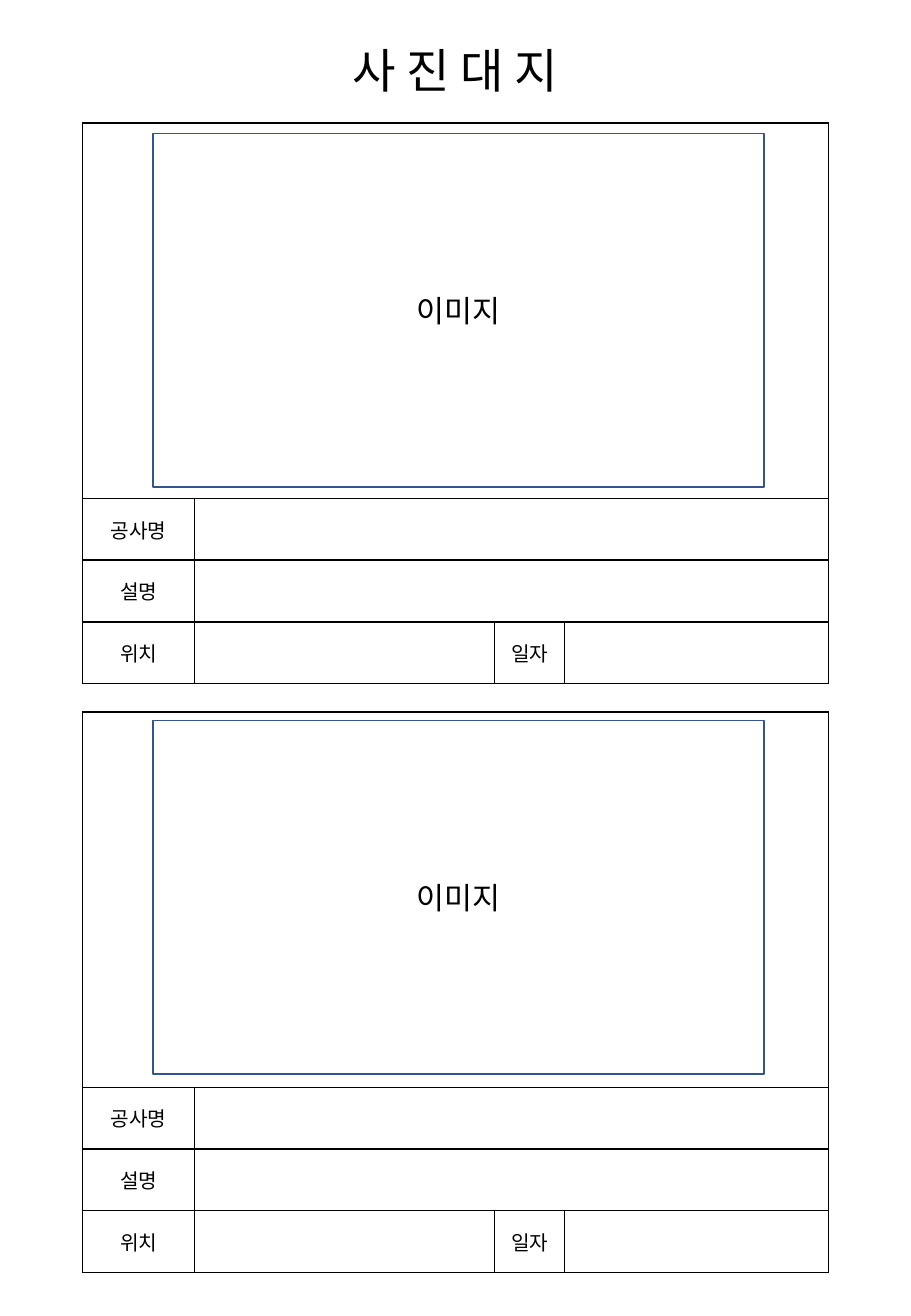
from lxml import etree
from pptx import Presentation
from pptx.dml.color import RGBColor
from pptx.enum.shapes import MSO_SHAPE
from pptx.enum.text import MSO_ANCHOR, MSO_AUTO_SIZE, PP_ALIGN
from pptx.oxml.ns import qn
from pptx.util import Cm, Pt

TITLE = "사 진 대 지"
IMAGE_LABEL = "이미지"
ROWS = [
    ["", None, None, None],
    ["공사명", "", None, None],
    ["설명", "", None, None],
    ["위치", "", "일자", ""],
]  # None continues the cell on its left

# Lengths in centimetres
SLIDE_SIZE = (19.05, 27.51)
TITLE_BOX = (4.98, 0.74, 9.09, 1.45)
TABLE_LEFT = 1.73
COLUMN_WIDTHS = [2.34, 6.27, 1.47, 5.51]
ROW_HEIGHTS = [7.85, 1.29, 1.29, 1.29]
IMAGE_LEFT, IMAGE_WIDTH, IMAGE_HEIGHT = 3.2, 12.78, 7.39
RECORDS = [  # table top, image frame top
    (2.57, 2.79),
    (14.88, 15.06),
]

FONT = "Calibri"
BLACK = RGBColor(0x00, 0x00, 0x00)
BLUE = RGBColor(0x32, 0x54, 0x91)
RECTANGLE = MSO_SHAPE.RECTANGLE
MIDDLE = MSO_ANCHOR.MIDDLE
CENTER = PP_ALIGN.CENTER
FIT_SHAPE = MSO_AUTO_SIZE.SHAPE_TO_FIT_TEXT


def write(text_frame, text, size):
    text_frame.text = text
    paragraph = text_frame.paragraphs[0]
    paragraph.alignment = CENTER
    for run in paragraph.runs:
        run.font.name = FONT
        run.font.size = Pt(size)
        run.font.color.rgb = BLACK


def add_borders(cell):
    properties = cell._tc.get_or_add_tcPr()
    for side in ("a:lnL", "a:lnR", "a:lnT", "a:lnB"):
        line = etree.SubElement(properties, qn(side), w=str(Pt(1)))
        fill = etree.SubElement(line, qn("a:solidFill"))
        etree.SubElement(fill, qn("a:srgbClr"), val=str(BLACK))


def add_record_table(slide, top):
    table = slide.shapes.add_table(
        len(ROWS), len(COLUMN_WIDTHS), Cm(TABLE_LEFT), Cm(top),
        Cm(sum(COLUMN_WIDTHS)), Cm(sum(ROW_HEIGHTS))).table
    table.first_row = table.horz_banding = False
    for column, width in zip(table.columns, COLUMN_WIDTHS):
        column.width = Cm(width)
    for row, height in zip(table.rows, ROW_HEIGHTS):
        row.height = Cm(height)
    for row_index, texts in enumerate(ROWS):
        for column_index, text in enumerate(texts):
            cell = table.cell(row_index, column_index)
            add_borders(cell)
            cell.fill.background()
            cell.vertical_anchor = MIDDLE
            if text:
                write(cell.text_frame, text, 12)
        if None in texts:
            start = texts.index(None) - 1
            table.cell(row_index, start).merge(
                table.cell(row_index, len(texts) - 1))


def add_image_frame(slide, top):
    frame = slide.shapes.add_shape(
        RECTANGLE, Cm(IMAGE_LEFT), Cm(top), Cm(IMAGE_WIDTH), Cm(IMAGE_HEIGHT))
    frame.shadow.inherit = False
    frame.fill.background()
    frame.line.color.rgb = BLUE
    frame.line.width = Pt(1)
    frame.text_frame.vertical_anchor = MIDDLE
    write(frame.text_frame, IMAGE_LABEL, 18)


def main():
    presentation = Presentation()
    presentation.slide_width, presentation.slide_height = map(Cm, SLIDE_SIZE)
    slide = presentation.slides.add_slide(presentation.slide_layouts[6])

    title = slide.shapes.add_textbox(*map(Cm, TITLE_BOX))
    title.text_frame.word_wrap = True
    title.text_frame.auto_size = FIT_SHAPE
    write(title.text_frame, TITLE, 28)

    for table_top, image_top in RECORDS:
        add_record_table(slide, table_top)
        add_image_frame(slide, image_top)

    presentation.save("out.pptx")


if __name__ == "__main__":
    main()
